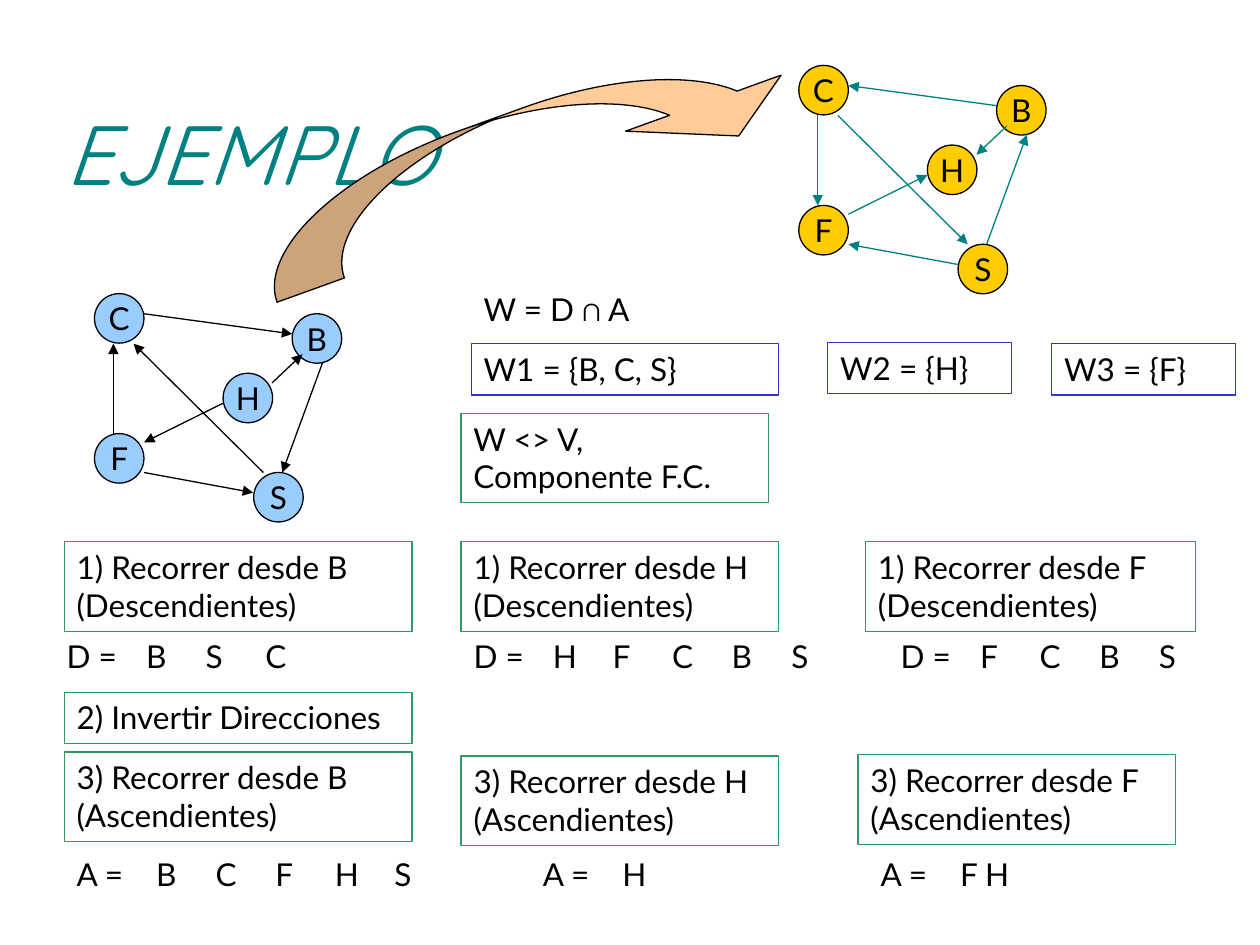
from dataclasses import dataclass

from lxml.etree import SubElement
from pptx import Presentation
from pptx.dml.color import RGBColor
from pptx.enum.shapes import MSO_CONNECTOR, MSO_SHAPE
from pptx.enum.text import MSO_ANCHOR, PP_ALIGN
from pptx.oxml.ns import qn
from pptx.util import Pt


@dataclass(frozen=True)
class Theme:
    title_font: str = "Quicksand"
    body_font: str = "Lato"
    title_size: int = 48
    body_size: int = 18
    line_width: float = 0.75
    ink: str = "000000"
    teal: str = "008080"
    green: str = "339966"
    blue: str = "3333CC"
    sky: str = "99CCFF"
    gold: str = "FFCC00"
    peach: str = "FFCC99"


THEME = Theme()

# Graph: node positions and directed edges, relative to the graph's corner
NODE_SIZE = 28.3
NODES = {"C": (0, 0), "F": (0, 80), "H": (73.5, 45.5), "B": (113, 11.5), "S": (91, 102.2)}
EDGES = [
    ((28.3, 102.2), (90.7, 113.7)),  # F to S
    ((28.3, 11.5), (113, 23)),       # C to B
    ((96.5, 102.2), (22.3, 28.6)),   # S to C
    ((130.3, 39.6), (107.3, 102.2)), # B to S
    ((10.8, 80), (10.8, 28.6)),      # F to C
    ((73.5, 62.6), (28.3, 85)),      # H to F
    ((101.5, 51), (118.8, 34.6)),    # H to B
]
# Corner, node fill, edge colour, inverted directions
GRAPHS = [
    ((54, 167.8), THEME.sky, THEME.ink, False),
    ((456.5, 37.4), THEME.gold, THEME.teal, True),
]

# Framed texts: text, left, top, width, number of lines, frame colour
FRAMES = [
    ("W1 = {B, C, S}", 269.3, 196.4, 175.7, 1, THEME.blue),
    ("W2 = {H}", 473, 195.8, 105.1, 1, THEME.blue),
    ("W3 = {F}", 601, 196.4, 105.1, 1, THEME.blue),
    ("W <> V, Componente F.C.", 263.5, 236.2, 175.7, 2, THEME.green),
    ("1) Recorrer desde B (Descendientes)", 36.7, 309.6, 198.7, 2, THEME.green),
    ("1) Recorrer desde H (Descendientes)", 263.5, 309.6, 181.4, 2, THEME.green),
    ("1) Recorrer desde F (Descendientes)", 494.6, 309.6, 188.6, 2, THEME.green),
    ("2) Invertir Direcciones", 36.7, 395.6, 198.7, 1, THEME.green),
    ("3) Recorrer desde B (Ascendientes)", 36.7, 429.8, 198.7, 2, THEME.green),
    ("3) Recorrer desde H (Ascendientes)", 263.5, 432, 181.4, 2, THEME.green),
    ("3) Recorrer desde F (Ascendientes)", 490.3, 431.3, 181.4, 2, THEME.green),
]
FRAME_HEIGHTS = {1: 29.3, 2: 51.1}

# Sets found by each traversal: label, members, left
DESCENDANTS = [
    ("D =", ["B", "S", "C"], 31),
    ("D =", ["H", "F", "C", "B", "S"], 263.5),
    ("D =", ["F", "C", "B", "S"], 507.6),
]
ASCENDANTS = [
    ("A =", ["B", "C", "F", "H", "S"], 36.7),
    ("A =", ["H"], 303.1),
    ("A =", ["F H"], 496.1),
]
SET_ROWS = [(360.7, DESCENDANTS), (485.3, ASCENDANTS)]
LABEL_STEP, MEMBER_STEP, TEXT_HEIGHT = 45.4, 34.05, 29


def color(value):
    return RGBColor.from_string(value)


def write(shape, text, size=THEME.body_size, font=THEME.body_font,
          ink=THEME.ink, italic=None, align=PP_ALIGN.LEFT):
    para = shape.text_frame.paragraphs[0]
    para.alignment = align
    span = para.add_run()
    span.text = text
    span.font.size = Pt(size)
    span.font.name = font
    span.font.italic = italic
    span.font.color.rgb = color(ink)


def add_figure(page, kind, left, top, width, height, line, fill=None):
    shape = page.shapes.add_shape(kind, Pt(left), Pt(top), Pt(width), Pt(height))
    shape.shadow.inherit = False
    if fill:
        shape.fill.solid()
        shape.fill.fore_color.rgb = color(fill)
    else:
        shape.fill.background()
    shape.line.color.rgb = color(line)
    shape.line.width = Pt(THEME.line_width)
    return shape


def add_text(page, text, left, top, width):
    box = page.shapes.add_textbox(Pt(left), Pt(top), Pt(width), Pt(TEXT_HEIGHT))
    box.text_frame.word_wrap = True
    write(box, text)


def add_frame(page, text, left, top, width, lines, line):
    box = add_figure(page, MSO_SHAPE.RECTANGLE, left, top, width, FRAME_HEIGHTS[lines], line)
    box.text_frame.word_wrap = True
    box.text_frame.vertical_anchor = MSO_ANCHOR.TOP
    write(box, text)


def add_arrow(page, start, end, ink):
    arrow = page.shapes.add_connector(
        MSO_CONNECTOR.STRAIGHT, *(Pt(value) for value in (*start, *end)))
    arrow.line.color.rgb = color(ink)
    arrow.line.width = Pt(THEME.line_width)
    SubElement(arrow.line._get_or_add_ln(), qn("a:tailEnd"), type="triangle")
    SubElement(arrow._element.spPr, qn("a:effectLst"))


def add_graph(page, corner, fill, ink, inverted):
    left, top = corner
    for name, (x, y) in NODES.items():
        node = add_figure(page, MSO_SHAPE.OVAL, left + x, top + y,
                          NODE_SIZE, NODE_SIZE, THEME.ink, fill)
        node.text_frame.word_wrap = False
        node.text_frame.vertical_anchor = MSO_ANCHOR.MIDDLE
        write(node, name, align=PP_ALIGN.CENTER)
    for edge in EDGES:
        start, end = [(left + x, top + y) for x, y in edge]
        if inverted:
            start, end = end, start
        add_arrow(page, start, end, ink)


def add_set(page, label, members, left, top):
    add_text(page, label, left, top, 51)
    for index, member in enumerate(members):
        width = 22.3 if len(member) == 1 else 73.4
        add_text(page, member, left + LABEL_STEP + index * MEMBER_STEP, top, width)


def main():
    deck = Presentation()
    deck.slide_width, deck.slide_height = Pt(720), Pt(540)
    page = deck.slides.add_slide(deck.slide_layouts[5])

    # Title
    title = page.shapes.title
    title.left, title.top, title.width, title.height = Pt(30), Pt(42), Pt(648), Pt(90)
    title.text_frame.vertical_anchor = MSO_ANCHOR.MIDDLE
    write(title, "EJEMPLO", THEME.title_size, THEME.title_font, THEME.teal, True)

    # Graph and its inverse
    for graph in GRAPHS:
        add_graph(page, *graph)

    # Steps and results
    add_text(page, "W = D ∩ A", 269.3, 162, 147.6)
    for frame in FRAMES:
        add_frame(page, *frame)
    for top, sets in SET_ROWS:
        for label, members, left in sets:
            add_set(page, label, members, left, top)

    # Curved arrow from the graph to its inverse
    sweep = add_figure(page, MSO_SHAPE.CURVED_DOWN_ARROW, 139, 62, 327.6, 56.9,
                       THEME.ink, THEME.peach)
    sweep.rotation = 340.2
    for index, value in enumerate((0.72, 1.66, 0.43)):
        sweep.adjustments[index] = value

    deck.save("out.pptx")


if __name__ == "__main__":
    main()
